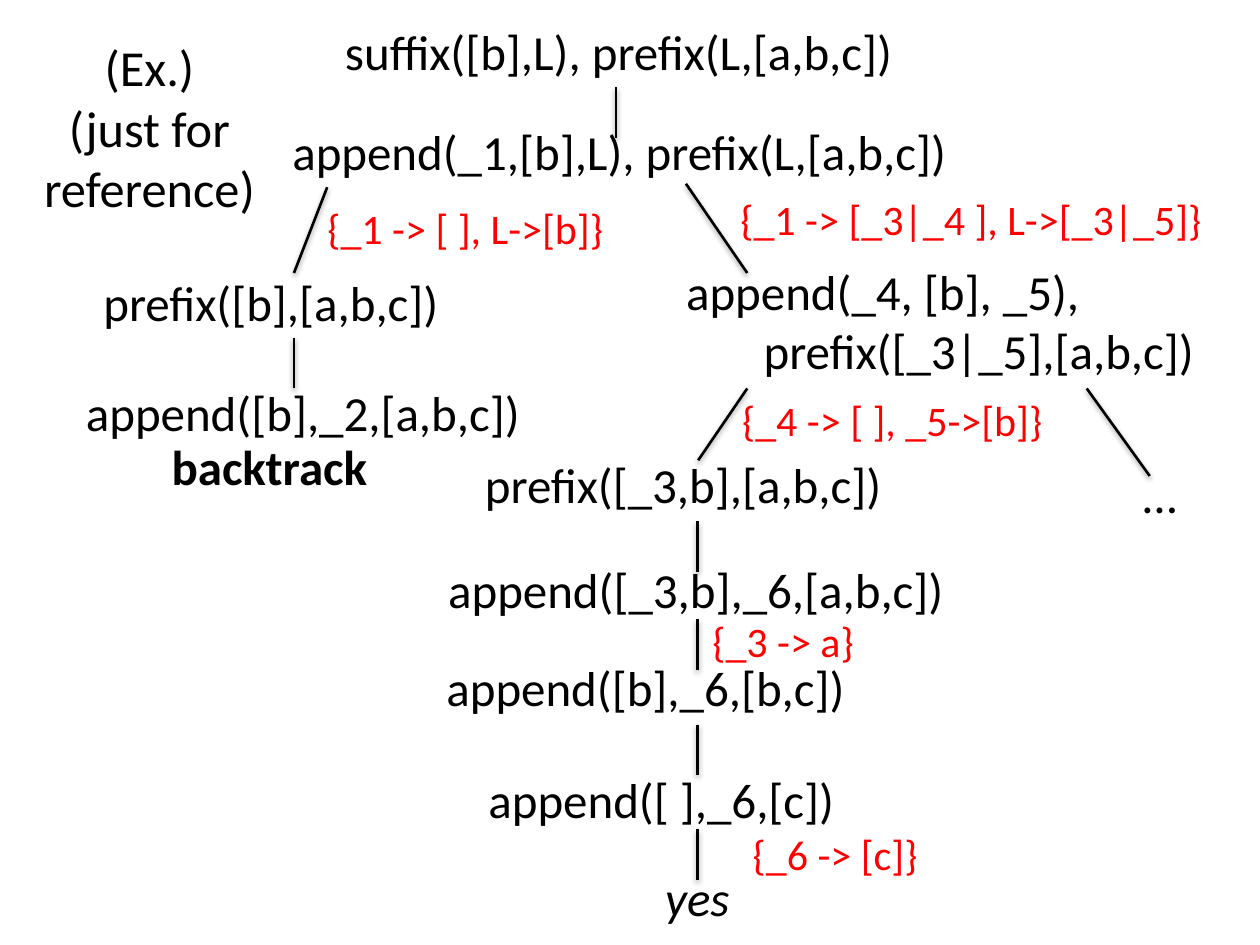
from lxml import etree
from pptx import Presentation
from pptx.dml.color import RGBColor
from pptx.enum import shapes, text
from pptx.oxml import ns
from pptx.util import Pt

COLORS = {"ink": "000000", "binding": "FF0000"}
FONT = "Calibri"
GOAL_SIZE, BINDING_SIZE = 28, 24
GOAL_HEIGHT, BINDING_HEIGHT = 41, 36
DROP = 29


def style(font, size, color):
    font.name = FONT
    font.size = Pt(size)
    font.color.rgb = RGBColor.from_string(COLORS[color])


def write(slide, origin, x, y, width, height, wording, size, color):
    box = slide.shapes.add_textbox(
        Pt(origin[0] + x), Pt(origin[1] + y), Pt(width), Pt(height))
    frame = box.text_frame
    frame.word_wrap = False
    frame.text = wording
    for paragraph in frame.paragraphs:
        for run in paragraph.runs:
            style(run.font, size, color)
    return frame


def goal(slide, origin, x, y, width, wording, height=GOAL_HEIGHT):
    return write(slide, origin, x, y, width, height, wording, GOAL_SIZE, "ink")


def binding(slide, origin, x, y, width, wording):
    return write(slide, origin, x, y, width, BINDING_HEIGHT, wording,
                 BINDING_SIZE, "binding")


def branch(slide, origin, x1, y1, x2, y2):
    left, top = origin
    line = slide.shapes.add_connector(
        shapes.MSO_CONNECTOR.STRAIGHT,
        Pt(left + x1), Pt(top + y1), Pt(left + x2), Pt(top + y2))
    line.line.width = Pt(1.5)
    line.line.color.rgb = RGBColor.from_string(COLORS["ink"])
    effects = etree.SubElement(line._element.spPr, ns.qn("a:effectLst"))
    shadow = etree.SubElement(
        effects, ns.qn("a:outerShdw"), blurRad=str(Pt(3.1)), dist=str(Pt(1.6)),
        dir="5400000", rotWithShape="0")
    shade = etree.SubElement(shadow, ns.qn("a:srgbClr"), val=COLORS["ink"])
    etree.SubElement(shade, ns.qn("a:alpha"), val="38000")


def place_title(slide, left, top, width, height):
    title = slide.shapes.title
    title.left, title.top = Pt(left), Pt(top)
    title.width, title.height = Pt(width), Pt(height)
    frame = title.text_frame
    frame.text = "(Ex.)\v(just for reference)"
    frame.word_wrap = True
    frame.vertical_anchor = text.MSO_ANCHOR.MIDDLE
    frame.paragraphs[0].alignment = text.PP_ALIGN.CENTER
    for run in frame.paragraphs[0].runs:
        style(run.font, 28.8, "ink")


def draw_query(slide, origin):
    goal(slide, origin, 30, 0, 331, "suffix([b],L), prefix(L,[a,b,c])")
    goal(slide, origin, 0, 57, 401, "append(_1,[b],L), prefix(L,[a,b,c])")
    branch(slide, origin, 192, 41, 192, 41 + DROP)


def draw_failed_branch(slide, origin):
    goal(slide, origin, 10, 45, 209, "prefix([b],[a,b,c])")
    binding(slide, origin, 138, 5, 175, "{_1 -> [ ], L->[b]}")
    goal(slide, origin, 0, 108, 265, "append([b],_2,[a,b,c])")
    outcome = goal(slide, origin, 49, 139, 128, "backtrack")
    outcome.paragraphs[0].runs[0].font.bold = True
    branch(slide, origin, 145, 0, 126, 49)
    branch(slide, origin, 126, 86, 126, 86 + DROP)


def draw_recursive_branch(slide, origin):
    binding(slide, origin, 31, 2, 280, "{_1 -> [_3|_4 ], L->[_3|_5]}")
    goals = goal(slide, origin, 0, 41, 308,
                 "append(_4, [b], _5),\nprefix([_3|_5],[a,b,c])", 75)
    goals.paragraphs[1]._p.get_or_add_pPr().set("marL", str(Pt(44.3)))
    binding(slide, origin, 32, 117, 189, "{_4 -> [ ], _5->[b]}")
    goal(slide, origin, 261, 157, 34, "…")
    branch(slide, origin, 7, 0, 42, 51)
    branch(slide, origin, 42, 117, 14, 158)
    branch(slide, origin, 236, 117, 272, 167)


def draw_successful_branch(slide, origin):
    goal(slide, origin, 22, 0, 251, "prefix([_3,b],[a,b,c])")
    goal(slide, origin, 1, 60, 301, "append([_3,b],_6,[a,b,c])")
    binding(slide, origin, 152, 92, 97, "{_3 -> a}")
    goal(slide, origin, 0, 116, 245, "append([b],_6,[b,c])")
    goal(slide, origin, 24, 180, 214, "append([ ],_6,[c])")
    binding(slide, origin, 175, 214, 110, "{_6 -> [c]}")
    outcome = goal(slide, origin, 125, 236, 59, "yes")
    outcome.paragraphs[0].runs[0].font.italic = True
    for y in (42, 98, 158, 218):
        branch(slide, origin, 150.5, y, 150.5, y + DROP)


def main():
    deck = Presentation()
    deck.slide_width, deck.slide_height = Pt(720), Pt(540)
    slide = deck.slides.add_slide(deck.slide_layouts[5])
    place_title(slide, 14.4, 25.2, 142, 95)
    draw_query(slide, (160, 9))
    draw_failed_branch(slide, (42, 107))
    draw_recursive_branch(slide, (385, 105))
    draw_successful_branch(slide, (248, 256))
    deck.save("out.pptx")


if __name__ == "__main__":
    main()
